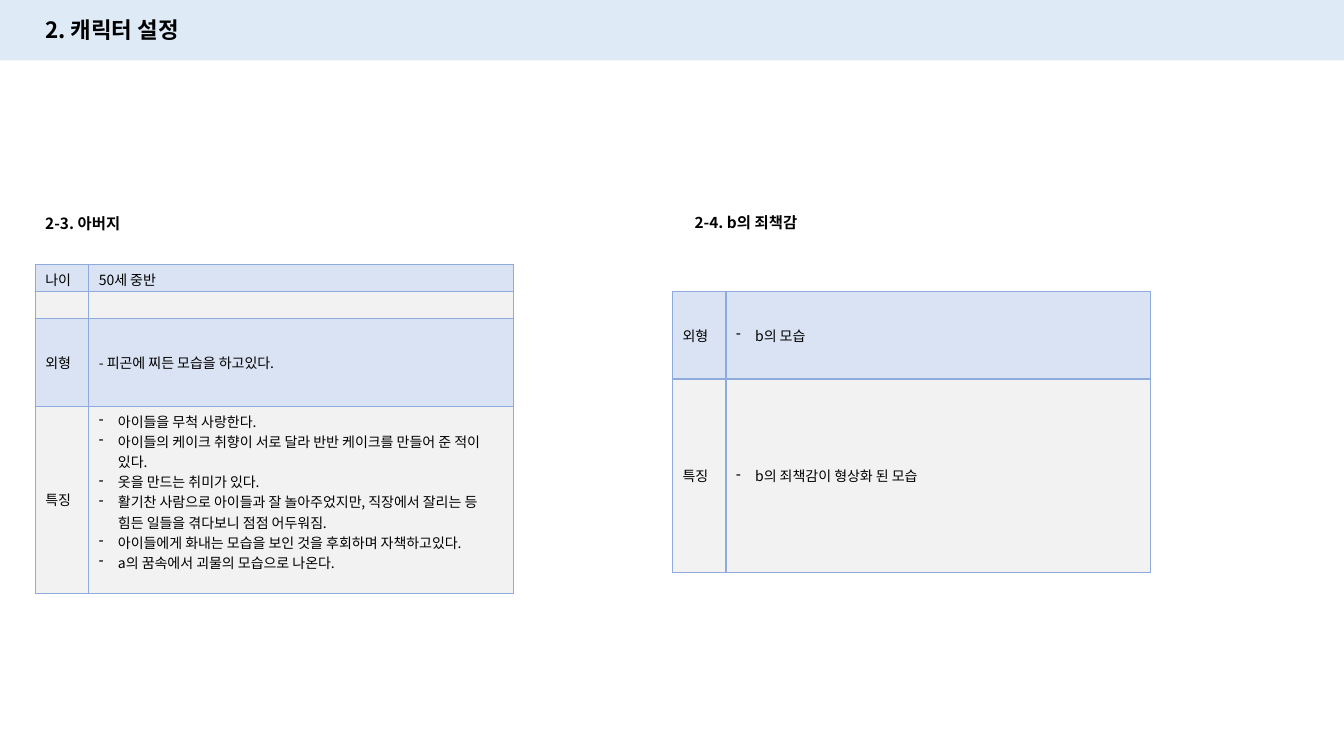
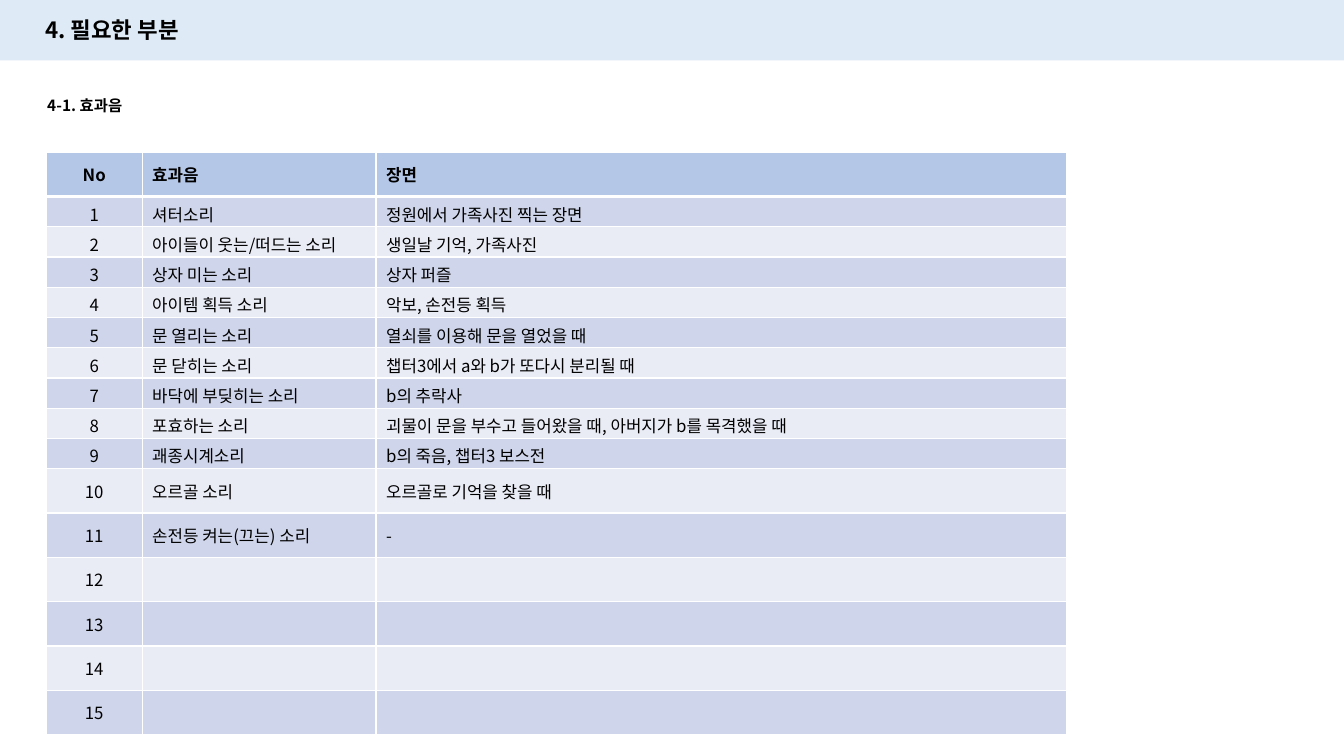
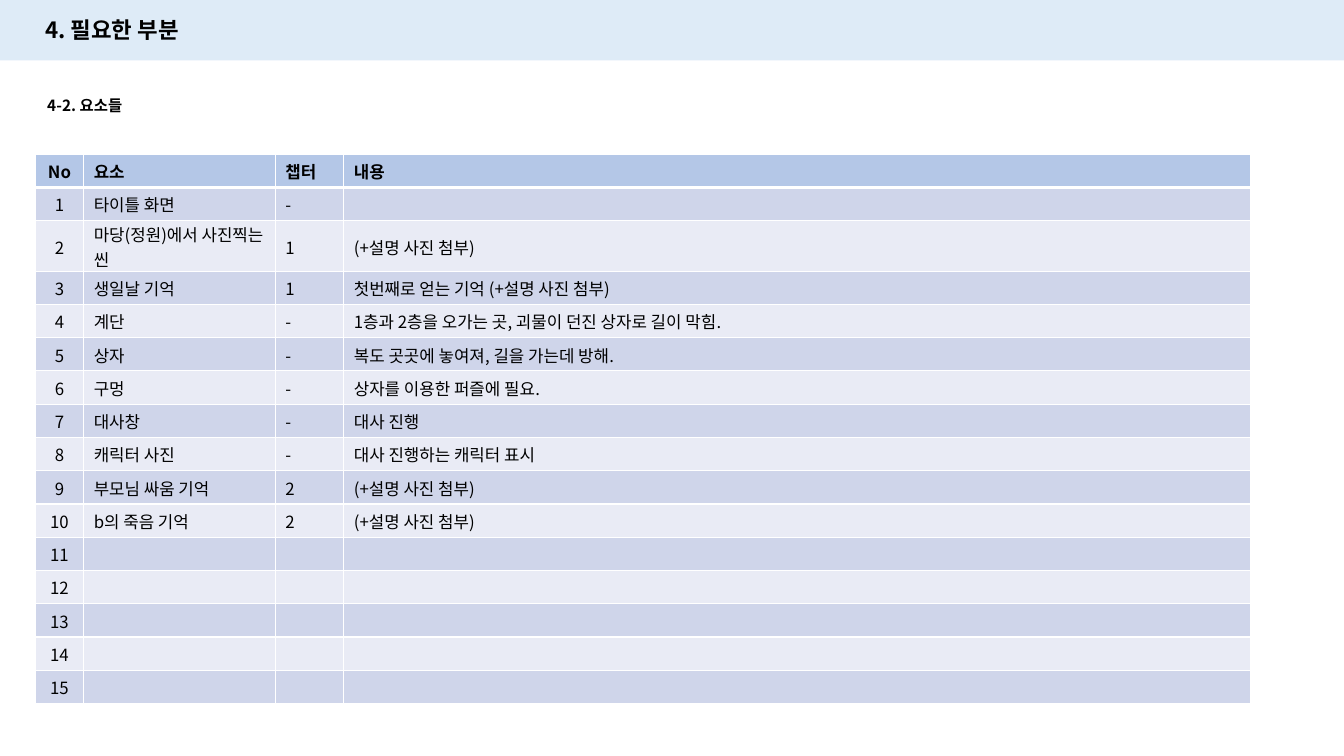
from dataclasses import dataclass, field

import pptx
import pptx.dml.color
import pptx.enum.shapes
import pptx.enum.text
import pptx.oxml.ns
import pptx.util
from lxml import etree

Inches, Pt = pptx.util.Inches, pptx.util.Pt
ANCHOR, ALIGN = pptx.enum.text.MSO_ANCHOR, pptx.enum.text.PP_ALIGN
qn = pptx.oxml.ns.qn

FONT = "Noto Sans CJK KR"
LINE_EM = 1.45
PAD = 0.05
INDENT = 0.19
LAST_NO = 15
COLORS = {
    "text": "000000", "band": "DEEBF7", "header": "B4C7E7", "white": "FFFFFF",
    "odd": "CFD5EA", "even": "E9EBF5",
    "card line": "8FAADC", "card odd": "DAE3F3", "card even": "F2F2F2",
}

Cell = str | list[str]  # a list is drawn as dashed bullets


@dataclass(frozen=True)
class TableStyle:
    size: int
    line: str
    fills: tuple[str, str]
    header: bool = False


CARD = TableStyle(10, "card line", ("card odd", "card even"))
NUMBERED = TableStyle(12, "white", ("even", "odd"), header=True)


@dataclass(frozen=True)
class Table:
    left: float
    top: float
    cols: list[float]
    rows: list[float]
    cells: list[list[Cell]]
    style: TableStyle
    wrapped: dict[int, int] = field(default_factory=dict)  # row -> lines of text


@dataclass(frozen=True)
class Heading:
    left: float
    top: float
    text: str


@dataclass(frozen=True)
class Page:
    title: str
    headings: list[Heading]
    tables: list[Table]


def rgb(name: str) -> pptx.dml.color.RGBColor:
    return pptx.dml.color.RGBColor.from_string(COLORS[name])


def add_run(p, text: str, size: int, bold: bool = False) -> None:
    r = p.add_run()
    r.text = text
    r.font.size, r.font.bold, r.font.name = Pt(size), bold, FONT
    r.font.color.rgb = rgb("text")
    etree.SubElement(r.font._element, qn("a:ea"), typeface=FONT)


def set_bullet(p) -> None:
    pPr = p._p.get_or_add_pPr()
    pPr.set("marL", str(Inches(INDENT)))
    pPr.set("indent", str(-Inches(INDENT)))
    etree.SubElement(pPr, qn("a:buFontTx"))
    etree.SubElement(pPr, qn("a:buChar"), char="-")


def set_borders(cell, color: str, widths: dict[str, int]) -> None:
    tcPr = cell._tc.get_or_add_tcPr()
    for side, width in widths.items():
        ln = etree.SubElement(tcPr, qn(f"a:ln{side}"), w=str(Pt(width)))
        fill = etree.SubElement(ln, qn("a:solidFill"))
        etree.SubElement(fill, qn("a:srgbClr"), val=COLORS[color])


def write_cell(cell, content: Cell, size: int, bold: bool, centred: bool) -> None:
    tf = cell.text_frame
    bulleted = isinstance(content, list)
    for i, text in enumerate(content if bulleted else [content]):
        p = tf.add_paragraph() if i else tf.paragraphs[0]
        p.alignment = ALIGN.CENTER if centred else ALIGN.LEFT
        if bulleted:
            set_bullet(p)
        if text:
            add_run(p, text, size, bold)
        else:
            etree.SubElement(p._p, qn("a:endParaRPr"), sz=str(size * 100))
    long_list = bulleted and len(content) > 1
    cell.vertical_anchor = ANCHOR.TOP if long_list else ANCHOR.MIDDLE


def set_row_padding(cell, height: float, lines: int, size: int) -> None:
    """Shrink the vertical margins where a thin row would otherwise grow."""
    slack = max(0, height - lines * size * LINE_EM / 72)
    top = min(PAD, slack)
    cell.margin_top = Inches(top)
    cell.margin_bottom = Inches(min(PAD, slack - top))


def add_table(s, t: Table) -> None:
    style = t.style
    frame = s.shapes.add_table(
        len(t.rows), len(t.cols), Inches(t.left), Inches(t.top),
        Inches(sum(t.cols)), Inches(sum(t.rows)))
    table = frame.table
    table.first_row = table.horz_banding = False
    for column, width in zip(table.columns, t.cols):
        column.width = Inches(width)
    for i, (height, contents) in enumerate(zip(t.rows, t.cells)):
        table.rows[i].height = Inches(height)
        is_header = style.header and i == 0
        widths = {"L": 1, "R": 1, "T": 3 if style.header and i == 1 else 1,
                  "B": 3 if is_header else 1}
        for j, content in enumerate(contents):
            cell = table.cell(i, j)
            write_cell(cell, content, style.size, is_header, style.header and j == 0)
            set_row_padding(cell, height, t.wrapped.get(i, 1), style.size)
            set_borders(cell, style.line, widths)
            cell.fill.solid()
            cell.fill.fore_color.rgb = rgb("header" if is_header else style.fills[i % 2])


def add_heading(s, h: Heading) -> None:
    tf = s.shapes.add_textbox(
        Inches(h.left), Inches(h.top), Inches(2.11), Inches(0.29)).text_frame
    tf.word_wrap = True
    tf.vertical_anchor = ANCHOR.MIDDLE
    add_run(tf.paragraphs[0], h.text, 11, bold=True)


def add_band(s, width: int) -> None:
    """Put the title band behind everything else on the slide."""
    band = s.shapes.add_shape(
        pptx.enum.shapes.MSO_SHAPE.RECTANGLE, 0, 0, width, Inches(0.6))
    band.shadow.inherit = False
    band.fill.solid()
    band.fill.fore_color.rgb = rgb("band")
    band.line.fill.background()
    s.shapes._spTree.insert(2, band._element)


def add_page(prs, layout, page: Page) -> None:
    s = prs.slides.add_slide(layout)
    add_band(s, prs.slide_width)
    tf = s.shapes.title.text_frame
    tf.word_wrap = True
    tf.auto_size = pptx.enum.text.MSO_AUTO_SIZE.NONE
    tf.vertical_anchor = ANCHOR.MIDDLE
    p = tf.paragraphs[0]
    p.alignment = ALIGN.LEFT
    add_run(p, page.title, 16, bold=True)
    for heading in page.headings:
        add_heading(s, heading)
    for table in page.tables:
        add_table(s, table)


def numbered(header: list[str], entries: list[list[str]]) -> list[list[Cell]]:
    """Number the entries and fill up with empty rows to LAST_NO."""
    blanks = [[""] * len(header)] * (LAST_NO - len(entries))
    body = [[str(n), *entry] for n, entry in enumerate(entries + blanks, 1)]
    return [["No", *header], *body]


CARD_COLS = [0.53, 4.21]
PHOTO = "(+설명 사진 첨부)"

FATHER = [
    ["나이", "50세 중반"],
    ["", ""],
    ["외형", "- 피곤에 찌든 모습을 하고있다."],
    ["특징", [
        "아이들을 무척 사랑한다.",
        "아이들의 케이크 취향이 서로 달라 반반 케이크를 만들어 준 적이 있다.",
        "옷을 만드는 취미가 있다.",
        "활기찬 사람으로 아이들과 잘 놀아주었지만, 직장에서 잘리는 등 힘든 일들을 "
        "겪다보니 점점 어두워짐.",
        "아이들에게 화내는 모습을 보인 것을 후회하며 자책하고있다.",
        "a의 꿈속에서 괴물의 모습으로 나온다.",
    ]],
]
GUILT = [
    ["외형", ["b의 모습"]],
    ["특징", ["b의 죄책감이 형상화 된 모습"]],
]
SOUNDS = numbered(["효과음", "장면"], [
    ["셔터소리", "정원에서 가족사진 찍는 장면"],
    ["아이들이 웃는/떠드는 소리", "생일날 기억, 가족사진"],
    ["상자 미는 소리", "상자 퍼즐"],
    ["아이템 획득 소리", "악보, 손전등 획득"],
    ["문 열리는 소리", "열쇠를 이용해 문을 열었을 때"],
    ["문 닫히는 소리", "챕터3에서 a와 b가 또다시 분리될 때"],
    ["바닥에 부딪히는 소리", "b의 추락사"],
    ["포효하는 소리", "괴물이 문을 부수고 들어왔을 때, 아버지가 b를 목격했을 때"],
    ["괘종시계소리", "b의 죽음, 챕터3 보스전"],
    ["오르골 소리", "오르골로 기억을 찾을 때"],
    ["손전등 켜는(끄는) 소리", "-"],
])
ELEMENTS = numbered(["요소", "챕터", "내용"], [
    ["타이틀 화면", "-", ""],
    ["마당(정원)에서 사진찍는 씬", "1", PHOTO],
    ["생일날 기억", "1", f"첫번째로 얻는 기억 {PHOTO}"],
    ["계단", "-", "1층과 2층을 오가는 곳, 괴물이 던진 상자로 길이 막힘."],
    ["상자", "-", "복도 곳곳에 놓여져, 길을 가는데 방해."],
    ["구멍", "-", "상자를 이용한 퍼즐에 필요."],
    ["대사창", "-", "대사 진행"],
    ["캐릭터 사진", "-", "대사 진행하는 캐릭터 표시"],
    ["부모님 싸움 기억", "2", PHOTO],
    ["b의 죽음 기억", "2", PHOTO],
])

PAGES = [
    Page("2. 캐릭터 설정",
         [Heading(0.35, 2.07, "2-3. 아버지"), Heading(6.79, 2.06, "2-4. b의 죄책감")],
         [Table(0.35, 2.62, CARD_COLS, [0.27, 0.27, 0.87, 1.86], FATHER, CARD),
          Table(6.67, 2.89, CARD_COLS, [0.87, 1.92], GUILT, CARD)]),
    Page("4. 필요한 부분",
         [Heading(0.37, 0.9, "4-1. 효과음")],
         [Table(0.46, 1.51, [0.95, 2.32, 6.85],
                [0.44] + [0.3] * 9 + [0.44] * 6, SOUNDS, NUMBERED)]),
    Page("4. 필요한 부분",
         [Heading(0.37, 0.9, "4-2. 요소들")],
         [Table(0.35, 1.53, [0.48, 1.9, 0.68, 8.99],
                [0.33] * 2 + [0.5] + [0.33] * 13, ELEMENTS, NUMBERED, {2: 2})]),
]


def main() -> None:
    prs = pptx.Presentation()
    prs.slide_width, prs.slide_height = Inches(13.33), Inches(7.5)
    layout = prs.slide_layouts.get_by_name("Title Only")
    title = layout.placeholders[0]
    title.left, title.top = Inches(0.35), Inches(0.11)
    title.width, title.height = Inches(2.11), Inches(0.37)
    for page in PAGES:
        add_page(prs, layout, page)
    prs.save("out.pptx")


if __name__ == "__main__":
    main()
